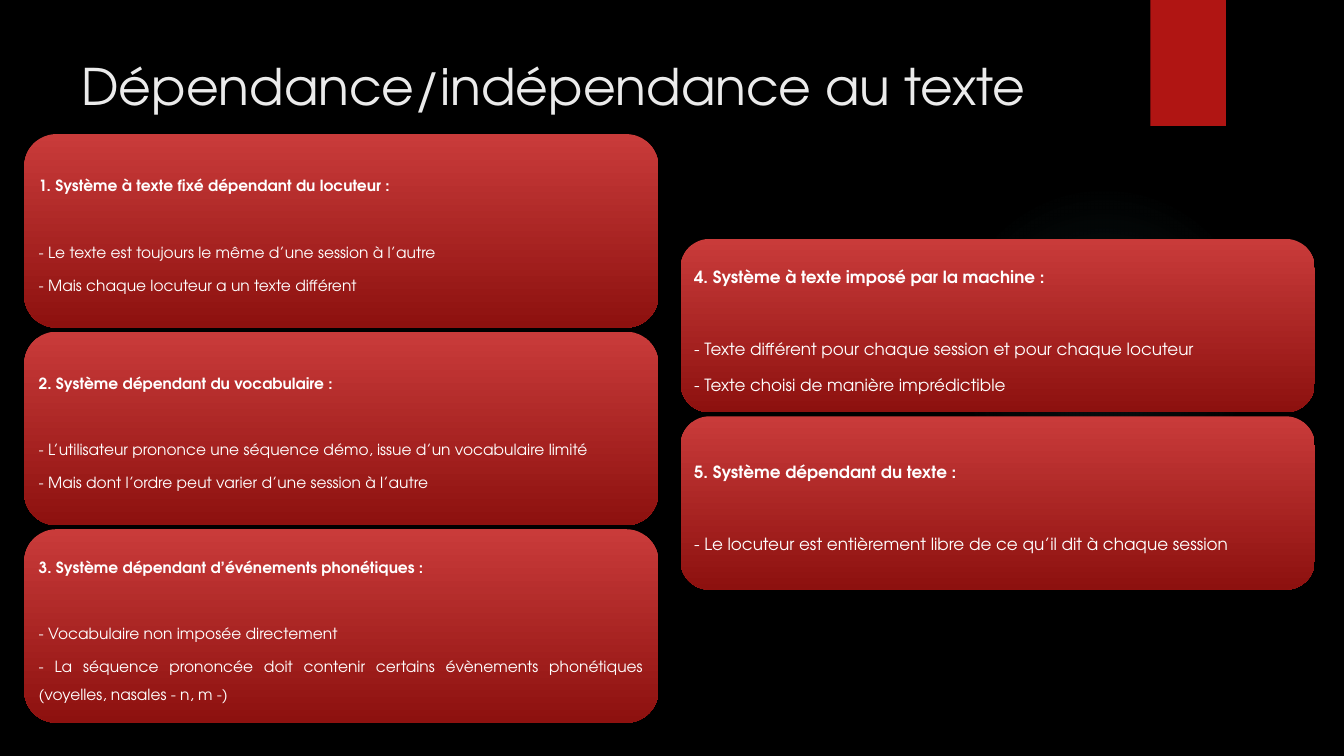
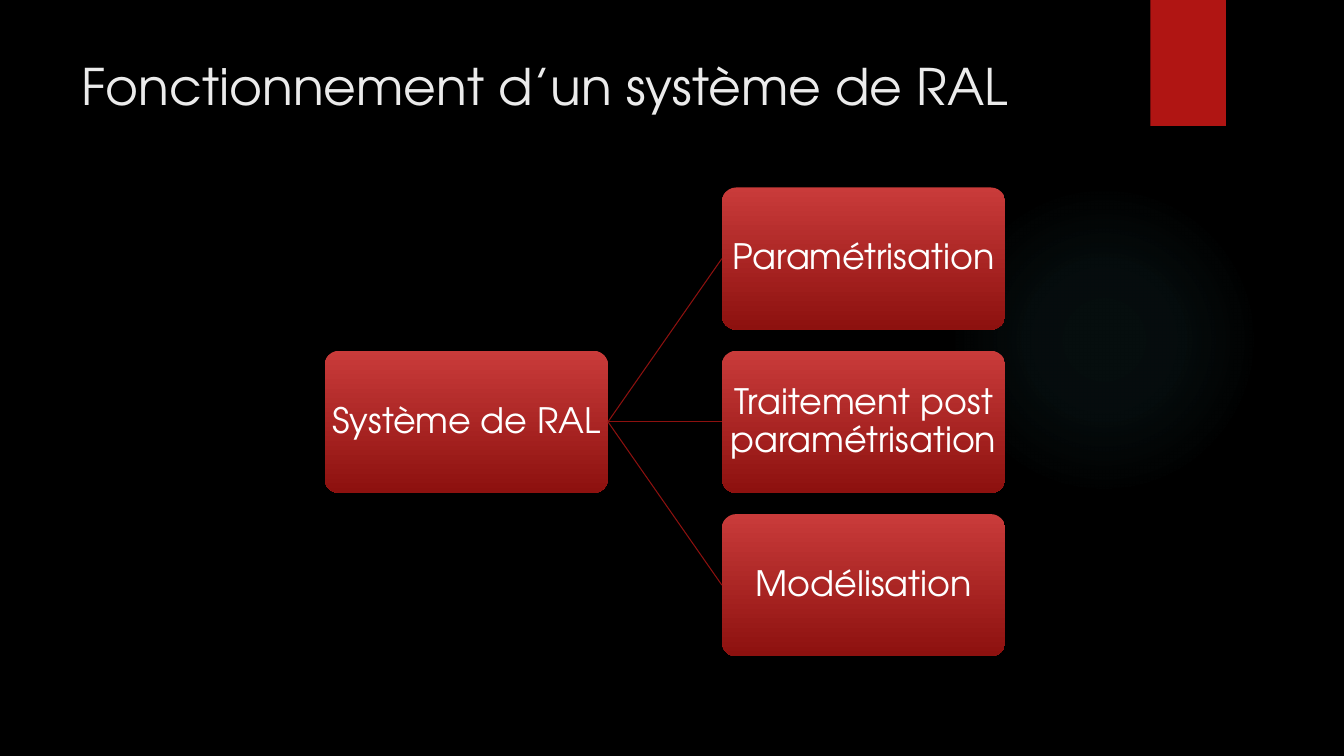
from lxml import etree
from pptx import Presentation
from pptx.dml.color import RGBColor
from pptx.enum import shapes, text
from pptx.oxml import parse_xml
from pptx.oxml.ns import nsdecls, qn
from pptx.util import Inches, Pt

# Shared style
FONT = "TeX Gyre Adventor"
BLACK, WHITE, TITLE_GREY = "000000", "FFFFFF", "EBEBEB"
BAND_RED, CARD_TOP, CARD_BOTTOM = "B01513", "C93B3A", "8D110F"
GLOW = "50B9C1"
GLOW_STOPS = [(0, 7), (36, 6), (69, 0)]  # position and opacity, in percent
CARD_WIDTH, CARD_GAP = 6.29, 0.04
NODE_WIDTH, NODE_HEIGHT, NODE_PITCH = 2.81, 1.41, 1.62

# Slide 1: heading, then its points
LEFT_SYSTEMS = [
    ("1. Système à texte fixé dépendant du locuteur :",
     "- Le texte est toujours le même d’une session à l’autre",
     "- Mais chaque locuteur a un texte différent"),
    ("2. Système dépendant du vocabulaire :",
     "- L’utilisateur prononce une séquence démo, issue d’un vocabulaire limité",
     "- Mais dont l’ordre peut varier d’une session à l’autre"),
    ("3. Système dépendant d’événements phonétiques :",
     "- Vocabulaire non imposée directement",
     "- La séquence prononcée doit contenir certains évènements phonétiques "
     "(voyelles, nasales - n, m -)"),
]
RIGHT_SYSTEMS = [
    ("4. Système à texte imposé par la machine :",
     "- Texte différent pour chaque session et pour chaque locuteur",
     "- Texte choisi de manière imprédictible"),
    ("5. Système dépendant du texte :",
     "- Le locuteur est entièrement libre de ce qu’il dit à chaque session"),
]

# Slide 2
STAGES = ["Paramétrisation", "Traitement post paramétrisation", "Modélisation"]


def rgb(value):
    return RGBColor.from_string(value)


def style_paragraph(paragraph, size, color, bold=False):
    for run in paragraph.runs:
        run.font.name = FONT
        run.font.size = Pt(size)
        run.font.bold = bold
        run.font.color.rgb = rgb(color)


def add_plain_shape(slide, kind, left, top, width, height):
    shape = slide.shapes.add_shape(
        kind, Inches(left), Inches(top), Inches(width), Inches(height))
    shape.shadow.inherit = False
    shape.line.fill.background()
    return shape


def add_glow(slide):
    glow = add_plain_shape(slide, shapes.MSO_SHAPE.OVAL, 9.41, 1.83, 3.08, 3.08)
    stops = "".join(
        f'<a:gs pos="{position * 1000}"><a:srgbClr val="{GLOW}">'
        f'<a:alpha val="{opacity * 1000}"/></a:srgbClr></a:gs>'
        for position, opacity in GLOW_STOPS)
    gradient = parse_xml(
        f'<a:gradFill {nsdecls("a")}><a:gsLst>{stops}</a:gsLst>'
        '<a:path path="circle"><a:fillToRect l="50000" t="50000" r="50000" b="50000"/>'
        '</a:path></a:gradFill>')
    glow.fill.background()
    properties = glow.element.spPr
    properties.replace(properties.find(qn("a:noFill")), gradient)


def add_titled_slide(prs, title):
    slide = prs.slides.add_slide(prs.slide_layouts[6])
    add_glow(slide)
    band = add_plain_shape(slide, shapes.MSO_SHAPE.RECTANGLE, 11.41, 0, 0.75, 1.25)
    band.fill.solid()
    band.fill.fore_color.rgb = rgb(BAND_RED)

    heading = slide.shapes.add_textbox(
        Inches(0.71), Inches(0.5), Inches(10.29), Inches(0.79))
    heading.text_frame.word_wrap = True
    heading.text_frame.text = title
    style_paragraph(heading.text_frame.paragraphs[0], 36, TITLE_GREY)
    return slide


def add_red_box(slide, left, top, width, height, content, inset):
    box = add_plain_shape(
        slide, shapes.MSO_SHAPE.ROUNDED_RECTANGLE, left, top, width, height)
    box.fill.gradient()
    box.fill.gradient_angle = 270
    for stop, color, position in zip(
            box.fill.gradient_stops, (CARD_TOP, CARD_BOTTOM), (0, 1)):
        stop.color.rgb = rgb(color)
        stop.position = position

    frame = box.text_frame
    frame.word_wrap = True
    frame.vertical_anchor = text.MSO_ANCHOR.MIDDLE
    frame.margin_left = frame.margin_right = Inches(inset)
    frame.margin_top = frame.margin_bottom = Inches(inset)
    frame.text = content
    return box


def add_system_column(slide, left, top, height, size, systems):
    for row, lines in enumerate(systems):
        card = add_red_box(slide, left, top + row * (height + CARD_GAP),
                           CARD_WIDTH, height, "\n".join(lines), 0.05)
        for index, paragraph in enumerate(card.text_frame.paragraphs):
            is_heading = index == 0
            paragraph.alignment = (
                text.PP_ALIGN.LEFT if is_heading else text.PP_ALIGN.JUSTIFY)
            paragraph.line_spacing = 1.5
            paragraph.space_after = Pt(size * (2.5 if is_heading else 0.35))
            style_paragraph(paragraph, size, WHITE, bold=is_heading)


def add_node(slide, left, top, label):
    node = add_red_box(slide, left, top, NODE_WIDTH, NODE_HEIGHT, label, 0.02)
    node.adjustments[0] = 0.1
    paragraph = node.text_frame.paragraphs[0]
    paragraph.alignment = text.PP_ALIGN.CENTER
    paragraph.line_spacing = 0.9
    paragraph.space_after = Pt(8.75)
    style_paragraph(paragraph, 25, WHITE)
    return node


def add_link(slide, parent, child):
    link = slide.shapes.add_connector(shapes.MSO_CONNECTOR.STRAIGHT, 0, 0, 0, 0)
    link.begin_connect(parent, 3)  # right side
    link.end_connect(child, 1)  # left side
    link.line.color.rgb = rgb(CARD_BOTTOM)
    link.line.width = Pt(0.75)
    etree.SubElement(link.element.spPr, qn("a:effectLst"))


def main():
    prs = Presentation()
    prs.slide_width, prs.slide_height = Inches(13.33), Inches(7.5)
    backdrop = prs.slide_master.background.fill
    backdrop.solid()
    backdrop.fore_color.rgb = rgb(BLACK)

    # Five kinds of system
    dependence = add_titled_slide(prs, "Dépendance/indépendance au texte")
    add_system_column(dependence, 0.24, 1.33, 1.92, 11, LEFT_SYSTEMS)
    add_system_column(dependence, 6.75, 2.37, 1.72, 12, RIGHT_SYSTEMS)

    # Tree of processing stages
    operation = add_titled_slide(prs, "Fonctionnement d’un système de RAL")
    first_top = 1.86
    root = add_node(operation, 3.22, first_top + NODE_PITCH, "Système de RAL")
    for row, label in enumerate(STAGES):
        stage = add_node(operation, 7.16, first_top + row * NODE_PITCH, label)
        add_link(operation, root, stage)

    prs.save("out.pptx")


main()
